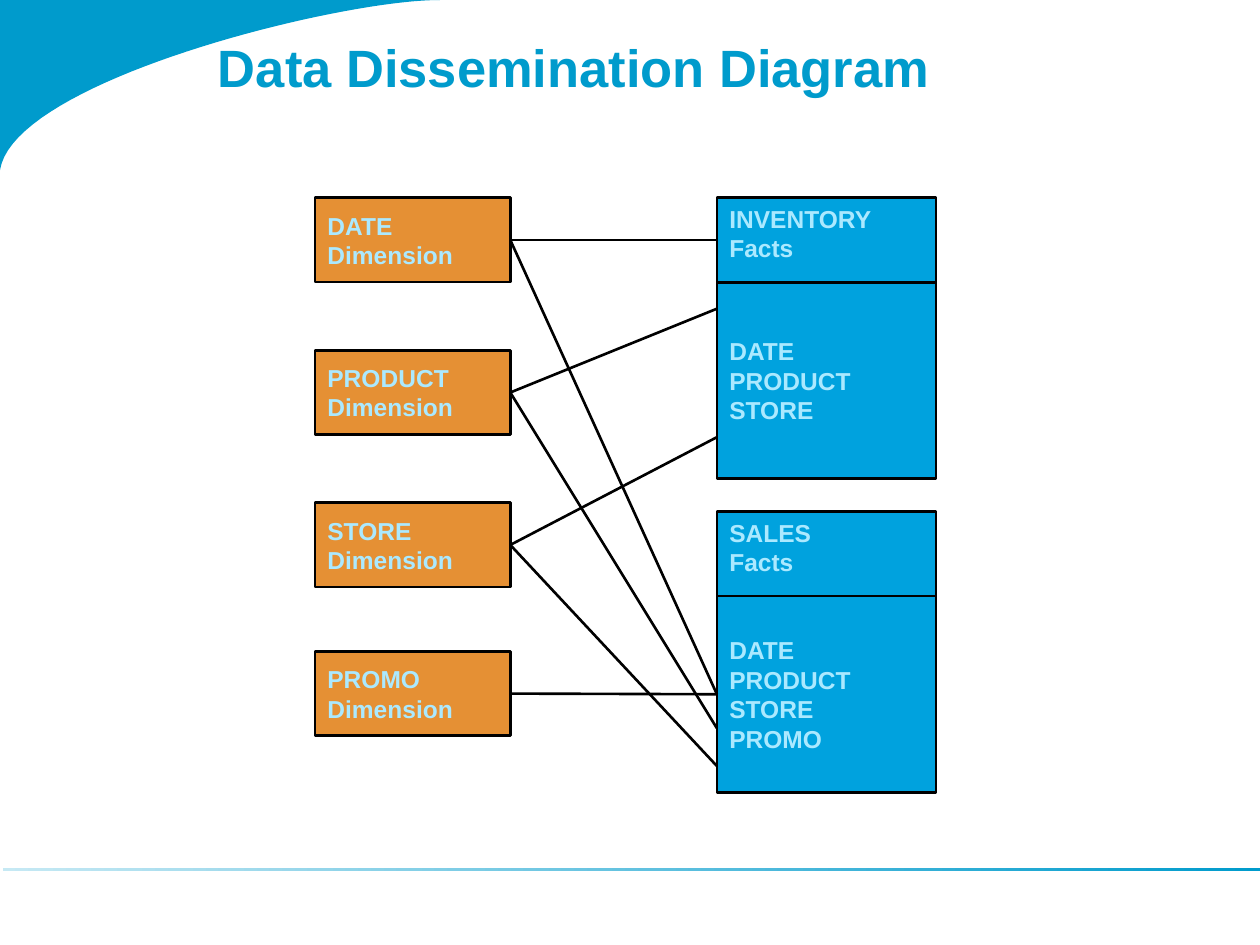
"""Builds the Data Dissemination Diagram slide."""
from lxml import etree
from pptx import Presentation
from pptx.dml.color import RGBColor
from pptx.enum.shapes import MSO_CONNECTOR, MSO_SHAPE
from pptx.enum.text import MSO_ANCHOR, MSO_AUTO_SIZE, PP_ALIGN
from pptx.oxml.ns import qn
from pptx.util import Inches, Pt

BLUE, LIGHT, BLACK = "009BCC", "ABE9FF", "000000"
FACT_FILL, DIM_FILL = "00A2DE", "E59034"
DIM_X, DIM_W, FACT_X, FACT_W = 2.5, 1.55, 5.69, 1.74
HEAD_H, BODY_H = 0.67, 1.56


def rgb(value):
    return RGBColor.from_string(value)


def add_box(x, y, w, h, fill, paragraphs, anchor=MSO_ANCHOR.MIDDLE):
    sp = shapes.add_shape(MSO_SHAPE.RECTANGLE, Inches(x), Inches(y), Inches(w), Inches(h))
    sp.shadow.inherit = False
    sp.fill.solid()
    sp.fill.fore_color.rgb = rgb(fill)
    sp.line.color.rgb = rgb(BLACK)
    sp.line.width = Pt(1.5)
    tf = sp.text_frame
    tf.word_wrap = True
    tf.vertical_anchor = anchor
    for i, lines in enumerate(paragraphs):
        p = tf.paragraphs[0] if i == 0 else tf.add_paragraph()
        p.alignment = PP_ALIGN.LEFT
        for j, line in enumerate(lines):
            if j:
                p.add_line_break()
            r = p.add_run()
            r.text = line
            r.font.name = "Arial"
            r.font.size = Pt(14)
            r.font.bold = True
            r.font.color.rgb = rgb(LIGHT)
    return sp


prs = Presentation()
prs.slide_width, prs.slide_height = Inches(10), Inches(7.5)
s = prs.slides.add_slide(prs.slide_layouts[5])
shapes = s.shapes

steps = 40
curve = []
for i in range(steps + 1):
    t = i / steps
    u = 1 - t
    curve.append((Inches(3 * u * u * t * 0.11 + 3 * u * t * t * 2.68 + t ** 3 * 3.49),
                  Inches(u ** 3 * 1.35 + 3 * u * u * t * 0.64)))
builder = shapes.build_freeform(0, 0)
builder.add_line_segments(curve, close=True)
swoosh = builder.convert_to_shape()
swoosh.shadow.inherit = False
swoosh.fill.solid()
swoosh.fill.fore_color.rgb = rgb(BLUE)
swoosh.line.fill.background()

rule = shapes.add_shape(MSO_SHAPE.RECTANGLE, Inches(0.02), Inches(6.89), Inches(9.98), Inches(0.02))
rule.shadow.inherit = False
rule.line.fill.background()
rule.fill.gradient()
rule.fill.gradient_angle = 0
for stop, color in zip(rule.fill.gradient_stops, ("C6E9F4", BLUE)):
    stop.color.rgb = rgb(color)

title = shapes.title
title.left, title.top, title.width, title.height = (Inches(v) for v in (1.65, 0, 7.01, 1.47))
tf = title.text_frame
tf.auto_size = MSO_AUTO_SIZE.NONE
tf.word_wrap = True
tf.vertical_anchor = MSO_ANCHOR.TOP
tf.margin_left = tf.margin_right = Inches(0.08)
tf.margin_top, tf.margin_bottom = Inches(0.28), Inches(0.04)
p = tf.paragraphs[0]
p.alignment = PP_ALIGN.LEFT
r = p.add_run()
r.text = "Data Dissemination Diagram"
r.font.name = "Arial"
r.font.size = Pt(30)
r.font.bold = True
r.font.color.rgb = rgb(BLUE)

heads, bodies = {}, {}
for name, y, keys in (("INVENTORY", 1.57, ("DATE", "PRODUCT", "STORE")),
                      ("SALES", 4.06, ("DATE", "PRODUCT", "STORE", "PROMO"))):
    bodies[name] = add_box(FACT_X, y + HEAD_H, FACT_W, BODY_H, FACT_FILL, [[key] for key in keys])
    heads[name] = add_box(FACT_X, y, FACT_W, HEAD_H, FACT_FILL, [[name, "Facts"]], MSO_ANCHOR.TOP)

dims = {}
for name, y in (("DATE", 1.57), ("PRODUCT", 2.78), ("STORE", 3.99), ("PROMO", 5.17)):
    dims[name] = add_box(DIM_X, y, DIM_W, HEAD_H, DIM_FILL, [[name], ["Dimension"]])

links = (("DATE", heads["INVENTORY"], None), ("DATE", bodies["SALES"], None),
         ("PRODUCT", None, 5.78), ("STORE", None, 6.08),
         ("PROMO", bodies["SALES"], None),
         ("STORE", None, 3.47), ("PRODUCT", None, 2.45))
for name, target, end_y in links:
    line = shapes.add_connector(MSO_CONNECTOR.STRAIGHT, Inches(DIM_X + DIM_W), dims[name].top,
                                Inches(FACT_X), Inches(end_y or 0))
    line.begin_connect(dims[name], 3)
    if target is not None:
        line.end_connect(target, 1)
    line.line.color.rgb = rgb(BLACK)
    line.line.width = Pt(1.5)
    etree.SubElement(line._element.spPr, qn("a:effectLst"))

prs.save("out.pptx")
